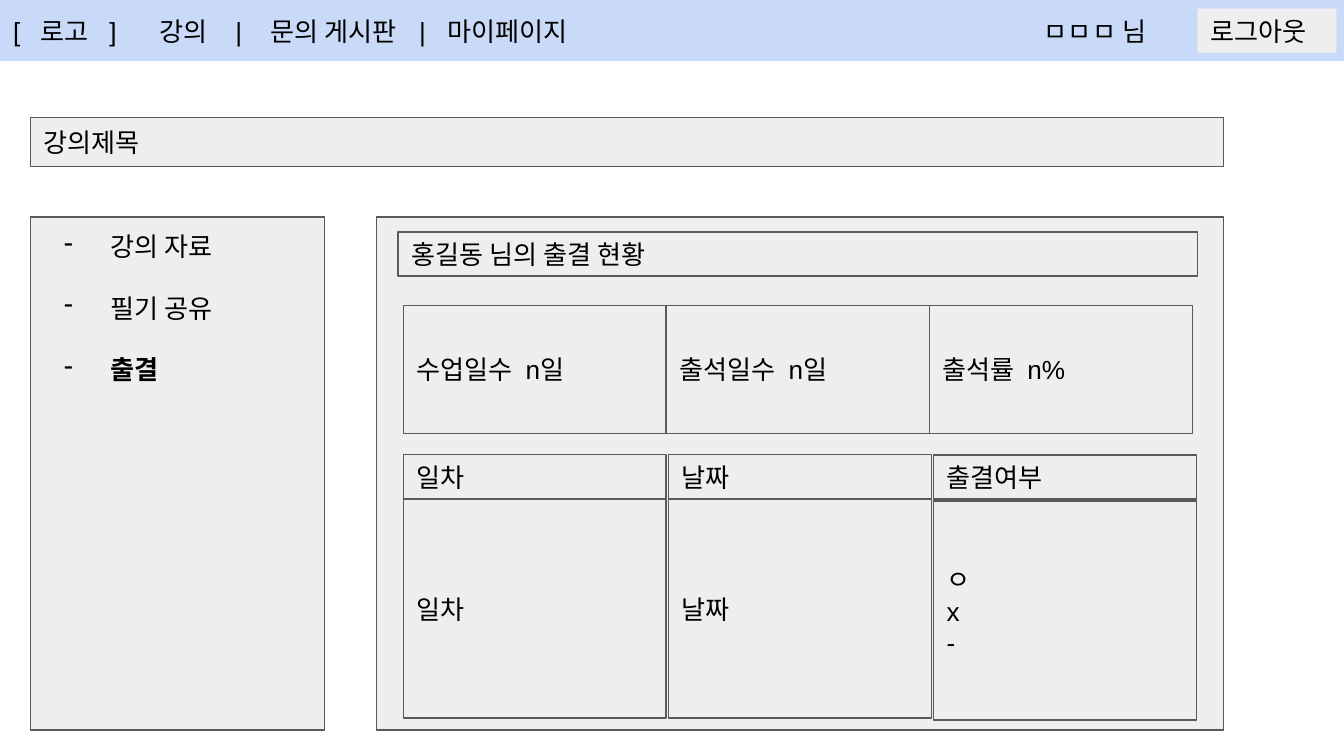
from dataclasses import dataclass

from lxml import etree
from pptx import Presentation
from pptx.dml.color import RGBColor
from pptx.enum import shapes, text
from pptx.oxml import ns
from pptx.util import Pt


@dataclass(frozen=True)
class Theme:
    font: str = "Arial"
    size: float = 14
    ink: str = "000000"
    bar: str = "C9DAF8"
    panel: str = "EEEEEE"
    border: str = "595959"
    border_width: float = 0.75
    inset: float = 7.2


THEME = Theme()


def add_ppr_list(paragraph, tag):
    return etree.SubElement(paragraph._p.get_or_add_pPr(), ns.qn(tag))


def set_tabs(paragraph, stops):
    tabs = add_ppr_list(paragraph, "a:tabLst")
    for stop in stops:
        etree.SubElement(tabs, ns.qn("a:tab"), pos=str(Pt(stop)), algn="l")


def set_dash(paragraph):
    properties = paragraph._p.get_or_add_pPr()
    properties.set("marL", str(Pt(36)))
    properties.set("indent", str(Pt(-25)))
    color = add_ppr_list(paragraph, "a:buClr")
    etree.SubElement(color, ns.qn("a:srgbClr"), val=THEME.ink)
    add_ppr_list(paragraph, "a:buChar").set("char", "-")


def write(box, lines, anchor=text.MSO_ANCHOR.MIDDLE, tabs=(), dashed=False,
          gap=0, bold_line=None):
    frame = box.text_frame
    frame.word_wrap = True
    frame.vertical_anchor = anchor
    frame.margin_left = frame.margin_right = Pt(THEME.inset)
    frame.margin_top = frame.margin_bottom = Pt(THEME.inset)
    for index, line in enumerate(lines):
        paragraph = frame.add_paragraph() if index else frame.paragraphs[0]
        paragraph.alignment = text.PP_ALIGN.LEFT
        if index and gap:
            paragraph.space_before = Pt(gap)
        if dashed:
            set_dash(paragraph)
        if tabs:
            set_tabs(paragraph, tabs)
        run = paragraph.add_run()
        run.text = line
        run.font.name = THEME.font
        run.font.size = Pt(THEME.size)
        run.font.color.rgb = RGBColor.from_string(THEME.ink)
        if line == bold_line:
            run.font.bold = True


def add_box(slide, left, top, width, height, lines=(), fill=THEME.panel,
            bordered=True, **text_format):
    box = slide.shapes.add_shape(shapes.MSO_SHAPE.RECTANGLE, Pt(left), Pt(top),
                                 Pt(width), Pt(height))
    box.shadow.inherit = False
    box.fill.solid()
    box.fill.fore_color.rgb = RGBColor.from_string(fill)
    if bordered:
        box.line.color.rgb = RGBColor.from_string(THEME.border)
        box.line.width = Pt(THEME.border_width)
    else:
        box.line.fill.background()
    if lines:
        write(box, lines, **text_format)
    return box


def add_header(slide):
    add_box(slide, 0, 0, 720, 32.8,
            ["[\t로고\t]\t강의\t|\t문의 게시판\t|\t마이페이지"],
            fill=THEME.bar, bordered=False,
            tabs=[14.8, 51.5, 78.5, 119, 137.7, 217.5, 232.5])
    user = slide.shapes.add_textbox(Pt(552.2), Pt(4.6), Pt(84.2), Pt(23.6))
    write(user, ["ㅁㅁㅁ 님"])
    add_box(slide, 641.5, 4.6, 74.5, 23.6, ["로그아웃"], bordered=False)


def add_sidebar(slide):
    add_box(slide, 16.3, 116.2, 157.5, 275, ["강의 자료", "필기 공유", "출결"],
            anchor=text.MSO_ANCHOR.TOP, dashed=True, gap=16.2,
            bold_line="출결")


def add_summary(slide, left):
    width = 140.9
    stats = [("수업일수\tn일", 58.5), ("출석일수\tn일", 58.5),
             ("출석률\tn%", 45.5)]
    for column, (stat, stop) in enumerate(stats):
        add_box(slide, left + column * width, 163.6, width, 68.6, [stat],
                tabs=[stop])


def add_attendance(slide, left):
    columns = [("일차", ["일차"], 0), ("날짜", ["날짜"], 0),
               ("출결여부", ["ㅇ", "x", "-"], 1)]
    for column, (heading, entries, drop) in enumerate(columns):
        x = left + column * 142
        add_box(slide, x, 243.6 + drop / 4, 140.9, 23.6, [heading])
        add_box(slide, x, 267.4 + drop, 140.9, 117.4, entries)


def main():
    presentation = Presentation()
    presentation.slide_width, presentation.slide_height = Pt(720), Pt(405)
    slide = presentation.slides.add_slide(presentation.slide_layouts[6])
    add_header(slide)
    add_box(slide, 201.6, 116.2, 453.8, 275)
    add_sidebar(slide)
    add_box(slide, 16.3, 62.8, 639.1, 26.4, ["강의제목"])
    add_box(slide, 213.2, 124.4, 428.4, 23.4, ["홍길동 님의 출결 현황"])
    add_summary(slide, 216)
    add_attendance(slide, 216)
    presentation.save("out.pptx")


if __name__ == "__main__":
    main()
